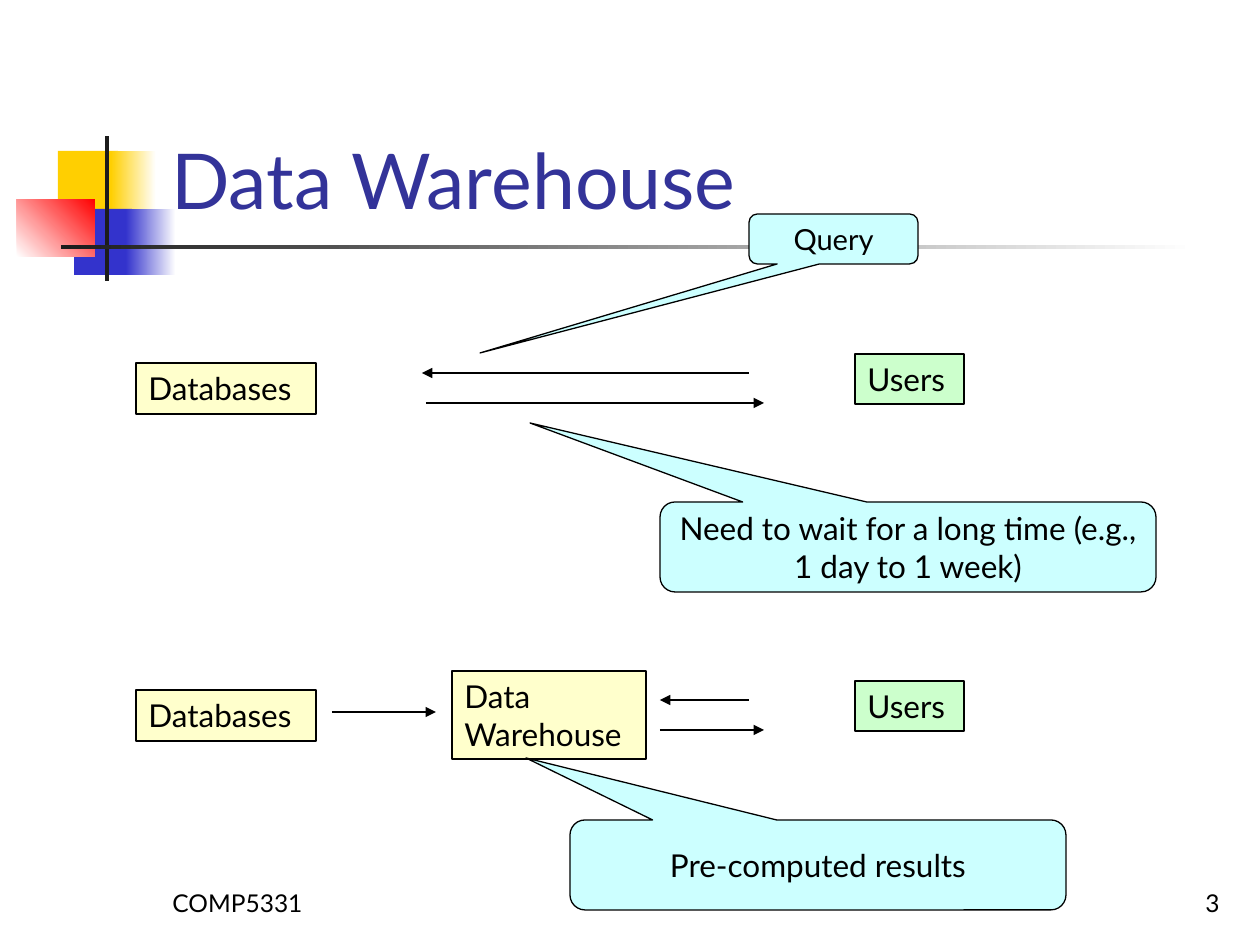
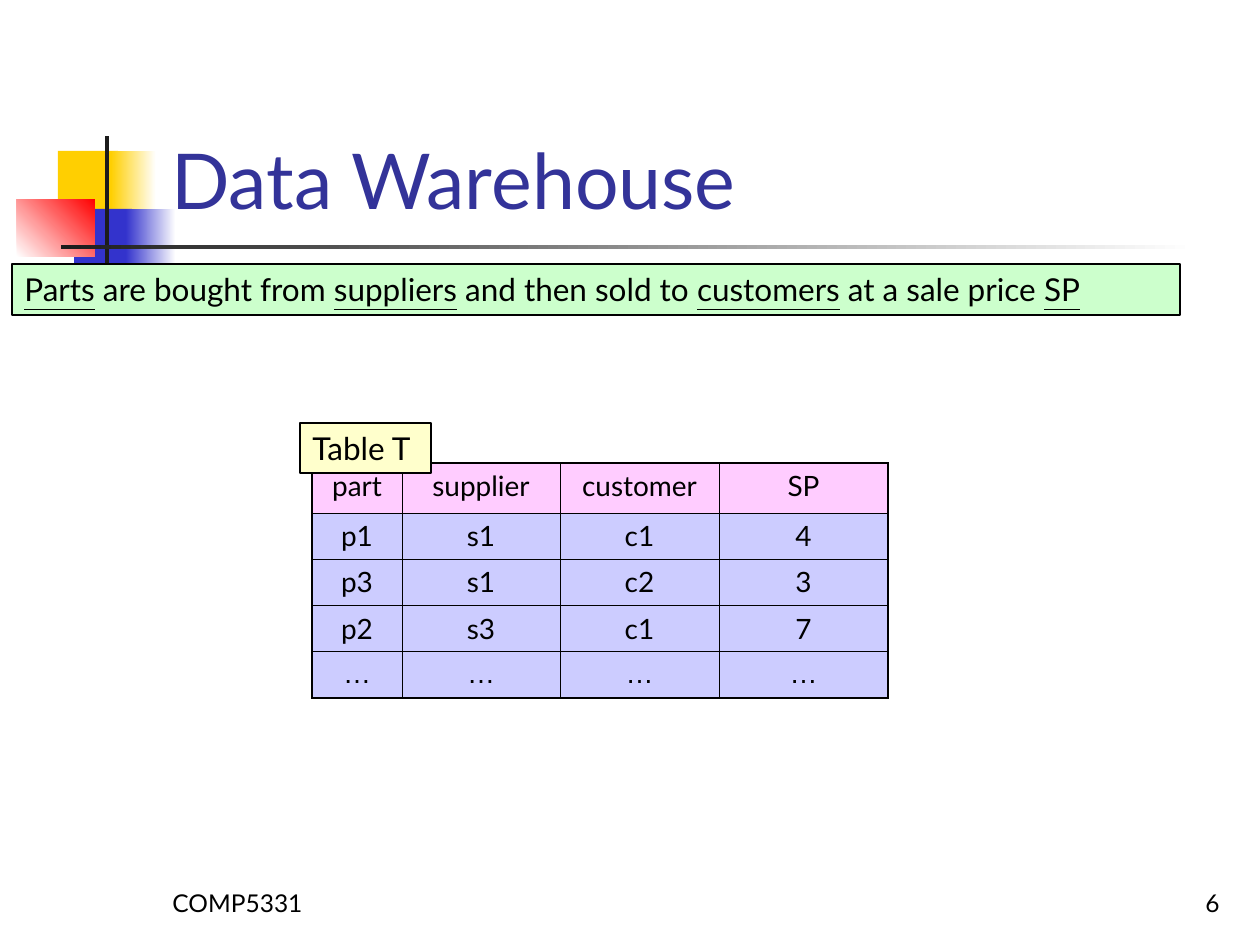
from dataclasses import dataclass

from lxml import etree
from pptx import Presentation
from pptx import util as u
from pptx.dml.color import RGBColor
from pptx.enum import shapes, text
from pptx.oxml.ns import qn

PX_PER_INCH = 126
SHAPE = shapes.MSO_SHAPE
ALIGN = text.PP_ALIGN
ANCHOR = text.MSO_ANCHOR


@dataclass(frozen=True)
class Theme:
    font: str = "Lato"
    symbol_font: str = "Arial"
    ink: str = "000000"
    title: str = "333399"
    paper: str = "FFFFFF"
    gold: str = "FFCF01"
    blue: str = "3333CC"
    red: str = "FF0000"
    bar: str = "1C1C1C"
    store: str = "FFFFCC"
    user: str = "CCFFCC"
    callout: str = "CCFFFF"
    head: str = "FFCCFF"
    body: str = "CCCCFF"
    title_size: float = 44
    text_size: float = 18
    query_size: float = 16.6
    table_size: float = 16
    footer_size: float = 14
    line: float = 0.75
    inner_border: float = 0.45
    outer_border: float = 1.08


T = Theme()


# Basics
def px(n):
    return u.Emu(round(n * 914400 / PX_PER_INCH))


def rgb(colour):
    return RGBColor.from_string(colour)


def set_all(obj, **fmt):
    for name, value in fmt.items():
        setattr(obj, name, value)


def write(tf, lines, size=T.text_size, colour=T.ink, font=T.font,
          align=ALIGN.LEFT, anchor=ANCHOR.TOP):
    """Each line is a string or a list of (text, underlined) pairs."""
    set_all(tf, word_wrap=True, vertical_anchor=anchor)
    for i, line in enumerate(lines):
        p = tf.add_paragraph() if i else tf.paragraphs[0]
        p.alignment = align
        for words, underlined in [(line, False)] if isinstance(line, str) else line:
            r = p.add_run()
            r.text = words
            set_all(r.font, name=font, size=u.Pt(size), underline=underlined)
            r.font.color.rgb = rgb(colour)


def paint(sp, start, end=None, angle=0):
    if end is None:
        sp.fill.solid()
        sp.fill.fore_color.rgb = rgb(start)
        return
    sp.fill.gradient()
    sp.fill.gradient_angle = angle
    for stop, colour in zip(sp.fill.gradient_stops, (start, end)):
        stop.color.rgb = rgb(colour)


def add_shape(s, kind, at, outlined=True):
    sp = s.shapes.add_shape(kind, *map(px, at))
    sp.shadow.inherit = False
    if outlined:
        sp.line.color.rgb = rgb(T.ink)
        sp.line.width = u.Pt(T.line)
    else:
        sp.line.fill.background()
    return sp


# Kinds of element
def add_text(s, at, words, **fmt):
    write(s.shapes.add_textbox(*map(px, at)).text_frame, [words],
          anchor=ANCHOR.BOTTOM, **fmt)


def add_box(s, at, fill, *lines):
    sp = add_shape(s, SHAPE.RECTANGLE, at)
    paint(sp, fill)
    write(sp.text_frame, lines)


def add_callout(s, at, tip, words, size=T.text_size):
    """Place a speech bubble whose tail ends at the point tip."""
    x, y, w, h = at
    sp = add_shape(s, SHAPE.ROUNDED_RECTANGULAR_CALLOUT, at)
    sp.adjustments[0] = (tip[0] - x) / w - 0.5
    sp.adjustments[1] = (tip[1] - y) / h - 0.5
    paint(sp, T.callout)
    write(sp.text_frame, [words], size, align=ALIGN.CENTER, anchor=ANCHOR.MIDDLE)


def add_arrow(s, x1, x2, y):
    c = s.shapes.add_connector(shapes.MSO_CONNECTOR.STRAIGHT,
                               *map(px, (x1, y, x2, y)))
    c.line.color.rgb = rgb(T.ink)
    c.line.width = u.Pt(T.line)
    etree.SubElement(c.line._ln, qn("a:tailEnd"), type="triangle")
    etree.SubElement(c._element.spPr, qn("a:effectLst"))


def add_border(cell, side, width):
    ln = etree.SubElement(cell._tc.get_or_add_tcPr(), qn(f"a:ln{side}"),
                          w=str(u.Pt(width)))
    fill = etree.SubElement(ln, qn("a:solidFill"))
    etree.SubElement(fill, qn("a:srgbClr"), val=T.ink)


def add_grid(s, x, y, widths, heights, rows):
    tbl = s.shapes.add_table(len(rows), len(widths), px(x), px(y),
                             px(sum(widths)), px(sum(heights))).table
    set_all(tbl, first_row=False, horz_banding=False)
    for col, w in zip(tbl.columns, widths):
        col.width = px(w)
    for i, (row, h) in enumerate(zip(rows, heights)):
        tbl.rows[i].height = px(h)
        for j, value in enumerate(row):
            cell = tbl.cell(i, j)
            outer = {"L": j == 0, "R": j == len(widths) - 1,
                     "T": i == 0, "B": i == len(rows) - 1}
            for side, is_outer in outer.items():
                add_border(cell, side,
                           T.outer_border if is_outer else T.inner_border)
            paint(cell, T.body if i else T.head)
            write(cell.text_frame, [value], T.table_size, align=ALIGN.CENTER,
                  font=T.symbol_font if value == "…" else T.font)


# Parts shared by the slides
def new_slide(prs, number):
    s = prs.slides.add_slide(prs.slide_layouts[6])
    for at, *colours in (
        ((58, 151, 60, 66), T.gold),
        ((111, 151, 45, 66), T.gold, T.paper),
        ((74, 209, 58, 66), T.blue),
        ((126, 209, 50, 66), T.blue, T.paper),
        ((17, 199, 78, 58), T.paper, T.red, 45),
        ((105, 136, 4, 145), T.bar),
        ((61, 245, 1134, 4), T.bar, T.paper),
    ):
        paint(add_shape(s, SHAPE.RECTANGLE, at, outlined=False), *colours)
    add_text(s, (160, 861, 262, 63), "COMP5331", size=T.footer_size)
    add_text(s, (970, 861, 262, 63), number, size=T.footer_size, align=ALIGN.RIGHT)
    add_text(s, (159, 29, 1074, 202), "Data Warehouse", size=T.title_size,
             colour=T.title)
    return s


# Slides
def query_slide(prs):
    s = new_slide(prs, "3")
    # Direct access above, access through the warehouse below
    for top, left_end, right_start in ((354, 422, 426), (681, 660, 660)):
        add_box(s, (136, top + 9, 180, 51), T.store, "Databases")
        add_box(s, (855, top, 109, 50), T.user, "Users")
        add_arrow(s, 749, left_end, top + 19)
        add_arrow(s, right_start, 764, top + 49)
    add_box(s, (452, 671, 194, 88), T.store, "Data", "Warehouse")
    add_arrow(s, 332, 436, 712)
    # Remarks
    add_callout(s, (660, 502, 496, 90), (530, 423),
                "Need to wait for a long time (e.g., 1 day to 1 week)")
    add_callout(s, (570, 820, 496, 90), (526, 758), "Pre-computed results")
    add_callout(s, (749, 214, 169, 50), (480, 353), "Query", T.query_size)


def table_slide(prs):
    s = new_slide(prs, "6")
    add_box(s, (12, 264, 1168, 51), T.user, [
        ("Parts", True), (" are bought from ", False),
        ("suppliers", True), (" and then sold to ", False),
        ("customers", True), (" at a sale price ", False), ("SP", True)])
    add_grid(s, 312, 463, (90, 158, 159, 169), (50, 46, 46, 46, 46), (
        ("part", "supplier", "customer", "SP"),
        ("p1", "s1", "c1", "4"),
        ("p3", "s1", "c2", "3"),
        ("p2", "s3", "c1", "7"),
        ("…",) * 4))
    add_box(s, (300, 423, 131, 50), T.store, "Table T")


def main():
    prs = Presentation()
    set_all(prs, slide_width=px(1260), slide_height=px(945))
    query_slide(prs)
    table_slide(prs)
    prs.save("out.pptx")


if __name__ == "__main__":
    main()
